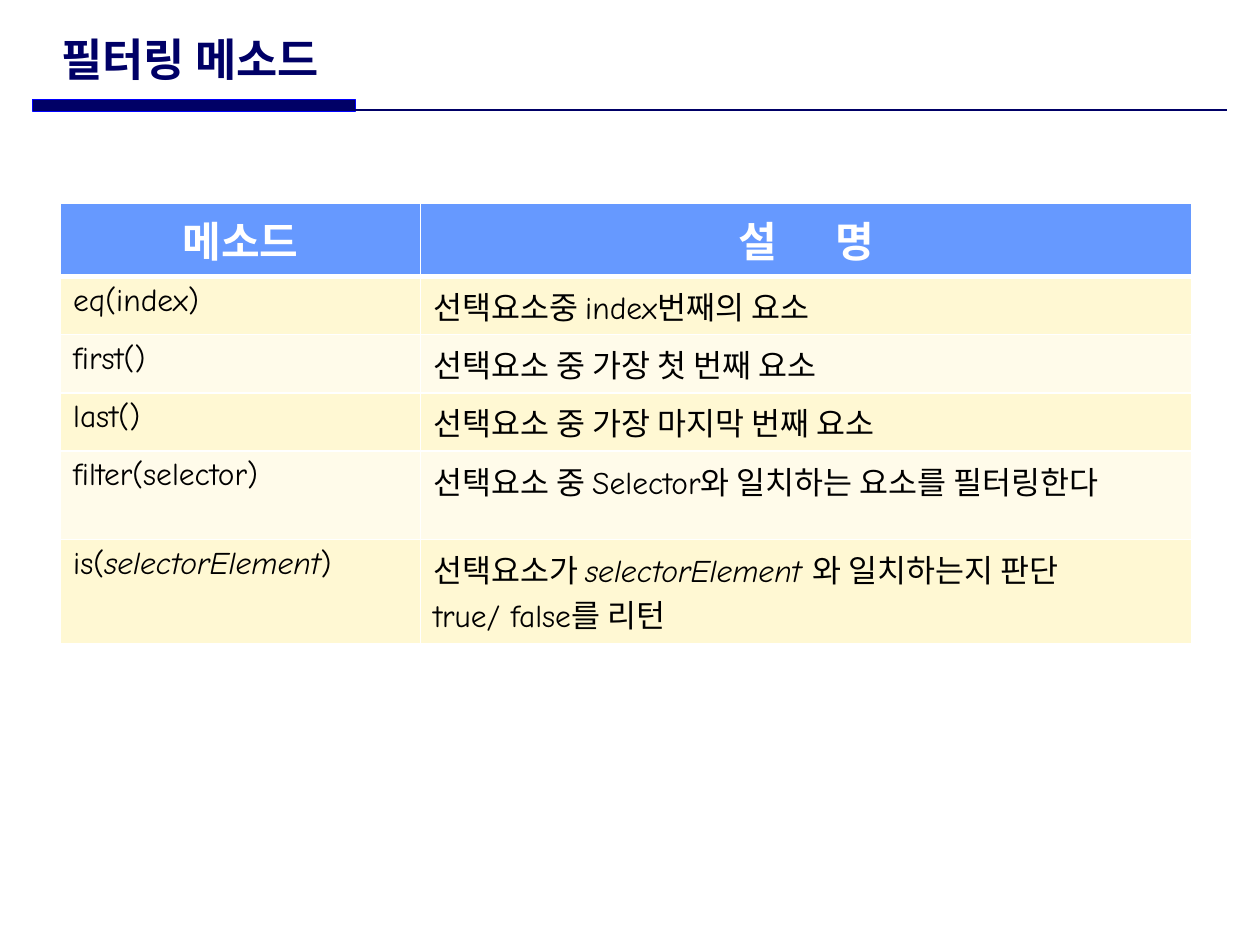
from lxml import etree
from pptx import Presentation
from pptx import util as u
from pptx.dml.color import RGBColor
from pptx.enum import shapes, text
from pptx.oxml.ns import qn

COLORS = {
    "navy": "000066",
    "blue": "0000FF",
    "header": "6699FF",
    "band": "FFF8D3",
    "light": "FFFBEA",
    "white": "FFFFFF",
    "black": "000000",
}
FONT = "Comic Neue"
TITLE_FORMAT = {"name": FONT, "size": u.Pt(25.6), "bold": True}
HEADER_FORMAT = {"name": FONT, "size": u.Pt(24), "bold": True}
BODY_FORMAT = {"name": FONT, "size": u.Pt(18), "bold": False}

COLUMN_WIDTHS = [7.26, 15.55]
ROW_HEIGHTS = [1.09, 1.14, 1.14, 1.14, 1.78, 2.03]
HEADER_GAP = 2800
HEADERS = [[["메소드"]], [["설", " ", "명"]]]
METHODS = [
    ([["eq(index)"]], [["선택요소중 index번째의 요소"]]),
    ([["first()"]], [["선택요소 중 가장 첫 번째 요소"]]),
    ([["last()"]], [["선택요소 중 가장 마지막 번째 요소"]]),
    ([["filter(selector)"]], [["선택요소 중 Selector와 일치하는 요소를 필터링한다"]]),
    (
        [["is(", "selectorElement", ")"]],
        [["선택요소가 ", "selectorElement ", "와 일치하는지 판단"], ["true/ false를 리턴"]],
    ),
]


def color(name):
    return RGBColor.from_string(COLORS[name])


def add_run(paragraph, words, font_format, color_name):
    run = paragraph.add_run()
    run.text = words
    for attribute, value in font_format.items():
        setattr(run.font, attribute, value)
    run.font.color.rgb = color(color_name)
    return run


def add_title(slide, left, top, width, height):
    title = slide.shapes.title
    box = {"left": left, "top": top, "width": width, "height": height}
    for attribute, value in box.items():
        setattr(title, attribute, u.Cm(value))
    frame = title.text_frame
    frame.word_wrap = True
    frame.auto_size = text.MSO_AUTO_SIZE.NONE
    frame.vertical_anchor = text.MSO_ANCHOR.MIDDLE
    paragraph = frame.paragraphs[0]
    paragraph.alignment = text.PP_ALIGN.LEFT
    add_run(paragraph, "필터링 메소드", TITLE_FORMAT, "navy")


def add_title_rule(slide, left, top, width, height):
    bar = slide.shapes.add_shape(
        shapes.MSO_SHAPE.RECTANGLE, u.Cm(left), u.Cm(top), u.Cm(width * 0.27), u.Cm(height)
    )
    bar.shadow.inherit = False
    bar.fill.solid()
    bar.fill.fore_color.rgb = color("navy")
    bar.line.color.rgb = color("blue")
    bar.line.width = u.Pt(0.75)

    line_top = u.Cm(top + height - 0.02)
    rule = slide.shapes.add_connector(
        shapes.MSO_CONNECTOR.STRAIGHT, u.Cm(left), line_top, u.Cm(left + width), line_top
    )
    rule.line.color.rgb = color("navy")
    rule.line.width = u.Pt(1.5)
    etree.SubElement(rule._element.spPr, qn("a:effectLst"))


def set_borders(cell, widths):
    properties = cell._tc.get_or_add_tcPr()
    for index, (side, width) in enumerate(widths.items()):
        border = etree.Element(qn(f"a:ln{side}"), w=str(u.Pt(width)))
        fill = etree.SubElement(border, qn("a:solidFill"))
        etree.SubElement(fill, qn("a:srgbClr"), val=COLORS["white"])
        properties.insert(index, border)


def fill_cell(cell, lines, font_format, color_name, alignment):
    frame = cell.text_frame
    for index, pieces in enumerate(lines):
        paragraph = frame.add_paragraph() if index else frame.paragraphs[0]
        paragraph.alignment = alignment
        for words in pieces:
            run = add_run(paragraph, words, font_format, color_name)
            if words.strip() == "selectorElement":
                run.font.italic = True
            if words == " ":
                run.font._element.set("spc", str(HEADER_GAP))


def add_method_table(slide, left, top, width, height):
    rows = [HEADERS, *METHODS]
    graphic = slide.shapes.add_table(
        len(rows), len(HEADERS), u.Cm(left), u.Cm(top), u.Cm(width), u.Cm(height)
    )
    table = graphic.table
    table.first_row = False
    table.horz_banding = False
    for column, column_width in zip(table.columns, COLUMN_WIDTHS):
        column.width = u.Cm(column_width)
    for row, row_height in zip(table.rows, ROW_HEIGHTS):
        row.height = u.Cm(row_height)
    graphic.height = u.Cm(height)

    for row_index, row in enumerate(rows):
        is_header = row_index == 0
        fill_name = "header" if is_header else "band" if row_index % 2 else "light"
        widths = {"L": 0.96, "R": 0.96, "T": 0.96, "B": 0.96}
        if is_header:
            widths["B"] = 3
        elif row_index == 1:
            widths["T"] = 3
        for column_index, lines in enumerate(row):
            cell = table.cell(row_index, column_index)
            cell.fill.solid()
            cell.fill.fore_color.rgb = color(fill_name)
            set_borders(cell, widths)
            if is_header:
                fill_cell(cell, lines, HEADER_FORMAT, "white", text.PP_ALIGN.CENTER)
            else:
                fill_cell(cell, lines, BODY_FORMAT, "black", text.PP_ALIGN.LEFT)


def main():
    presentation = Presentation()
    presentation.slide_width = u.Cm(25.4)
    presentation.slide_height = u.Cm(19.05)
    slide = presentation.slides.add_slide(presentation.slide_layouts[5])
    add_title_rule(slide, 0.66, 2.01, 24.08, 0.23)
    add_title(slide, 0.99, 0.53, 17.25, 1.32)
    add_method_table(slide, 1.22, 4.09, sum(COLUMN_WIDTHS), 8.58)
    presentation.save("out.pptx")


if __name__ == "__main__":
    main()
